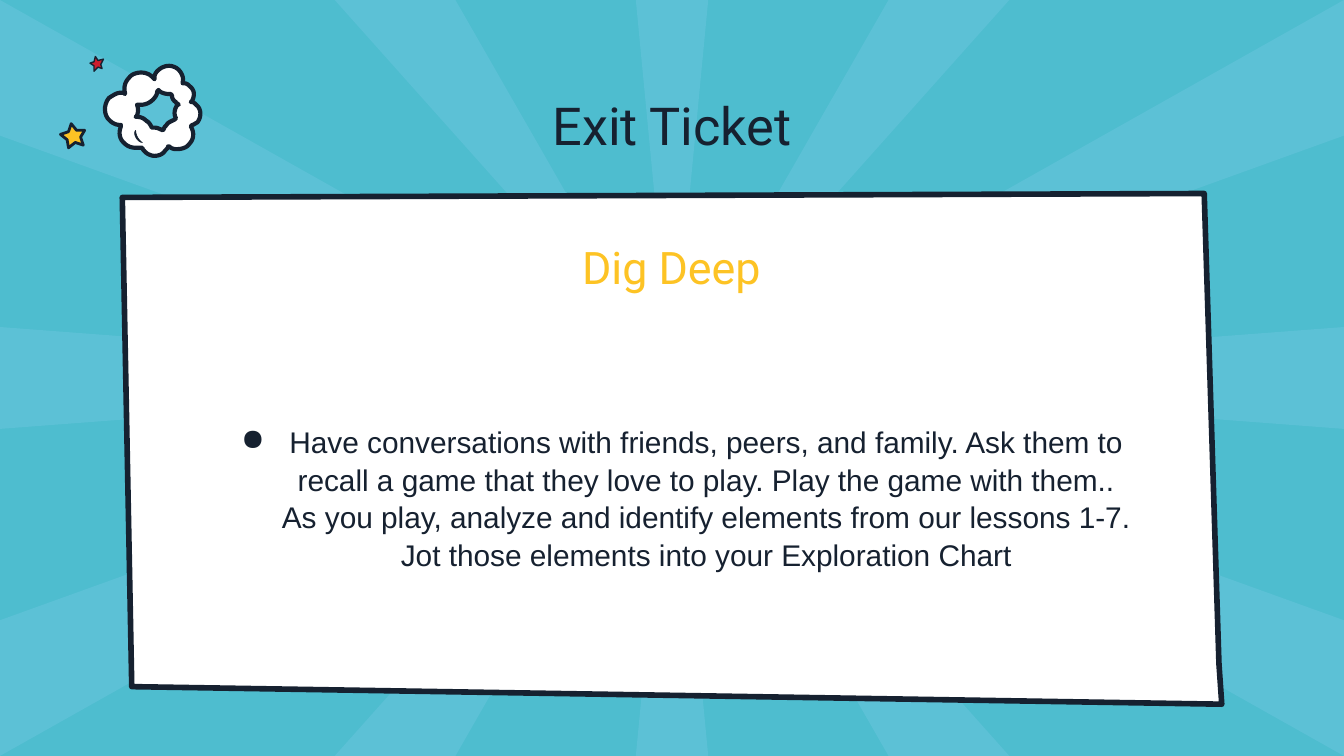
from lxml import etree
from pptx import Presentation
from pptx import util as u
from pptx.dml.color import RGBColor
from pptx.enum import text
from pptx.oxml.ns import qn

Pt = u.Pt
W, H = 720, 405
GRID = 0.72  # points per unit of the doodle outlines
COLORS = {"sky": "4EBDCF", "ray": "5CC1D6", "paper": "FFFFFF",
          "ink": "162130", "yellow": "FDC324", "red": "CC1D2D"}

# One side of each ray; the other end is mirrored through the centre
RAYS = [
    [(340.6, 0), (379.4, 0)],
    [(179.3, 0), (244, 0)],
    [(476, 0), (540.7, 0)],
    [(0, 0), (0, 72.7)],
    [(W, 0), (W, 72.7)],
    [(0, 175.2), (0, 229.8)],
]
PANEL = [(645.1, 103.7), (65.5, 105.8), (70.6, 367.9), (654.5, 377.3), (653, 355.7)]

# Doodles in grid units: pairs are corners, sextuples are cubic curves
YELLOW_STAR = [(45, 100), (51, 98), (53, 92), (57, 97), (63, 97),
               (60, 102), (62, 108), (56, 106), (51, 110), (50, 104)]
RED_STAR = [(67, 47), (70, 46), (71, 42), (73, 45), (77, 44),
            (75, 48), (76, 51), (73, 50), (70, 53), (70, 49)]
CLOUD_HOLE = [
    (118, 67), (117, 68), (117, 70, 116, 72, 114, 74), (112, 76, 109, 78, 105, 78),
    (102, 78), (103, 81, 103, 83, 102, 86), (101, 87), (102, 87),
    (105, 87, 107, 88, 109, 90), (111, 91, 112, 93, 113, 95), (115, 95),
    (117, 95, 119, 96, 121, 97), (122, 96), (122, 95, 123, 94, 124, 93),
    (125, 91, 128, 90, 130, 89), (131, 88), (129, 85, 130, 81, 132, 78),
    (133, 78), (132, 77), (132, 77, 131, 77, 131, 76), (129, 75, 128, 73, 128, 71),
    (127, 70), (126, 70), (123, 70, 120, 69, 119, 68),
]
CLOUD_EDGE = [
    (126, 49), (128, 49, 131, 50, 133, 52), (135, 54, 137, 58, 136, 61),
    (136, 62), (137, 62), (139, 62, 140, 63, 141, 64), (145, 67, 145, 71, 143, 75),
    (142, 76), (143, 76), (144, 76, 145, 77, 146, 78), (150, 81, 150, 87, 147, 91),
    (145, 92, 144, 93, 143, 93), (142, 94), (145, 99, 144, 104, 141, 107),
    (139, 110, 135, 111, 132, 111), (130, 111, 128, 111, 126, 109), (125, 109),
    (125, 110), (124, 111, 124, 111, 123, 112), (121, 115, 118, 116, 115, 116),
    (113, 116, 110, 115, 108, 113), (107, 112, 106, 111, 106, 110), (105, 110),
    (104, 110, 102, 110, 101, 110), (98, 110, 95, 109, 93, 107),
    (89, 104, 88, 99, 90, 94), (90, 93), (89, 93), (87, 93, 84, 92, 82, 90),
    (77, 86, 77, 78, 81, 73), (84, 71, 87, 69, 90, 69), (91, 69, 92, 69, 92, 69),
    (93, 70), (93, 69), (92, 65, 93, 61, 96, 58), (98, 55, 102, 54, 105, 54),
    (108, 54, 111, 55, 113, 57), (115, 59), (115, 57), (115, 56, 116, 54, 117, 53),
    (120, 50, 123, 49, 126, 49),
]
CREASE = [(101, 97), (100, 98, 100, 100, 101, 102), (102, 104, 104, 106, 106, 106),
          (104, 105, 101, 101, 101, 97)]


def rgb(name):
    return RGBColor.from_string(COLORS[name])


def flatten(outline, steps=8):
    """Turn corners and cubic curves in grid units into points."""
    pts = []
    for seg in outline:
        if len(seg) == 2:
            pts.append(seg)
            continue
        ctrl = [pts[-1], seg[:2], seg[2:4], seg[4:]]
        for i in range(1, steps + 1):
            t = i / steps
            weights = ((1 - t) ** 3, 3 * t * (1 - t) ** 2, 3 * t * t * (1 - t), t ** 3)
            pts.append(tuple(sum(k * c[axis] for k, c in zip(weights, ctrl))
                             for axis in (0, 1)))
    return [(x * GRID, y * GRID) for x, y in pts]


def add_outline(s, contours, fill, line_width=None):
    scaled = [[(Pt(x), Pt(y)) for x, y in c] for c in contours]
    builder = s.shapes.build_freeform(*scaled[0][0])
    for i, contour in enumerate(scaled):
        if i:
            builder.move_to(*contour[0])
        builder.add_line_segments(contour[1:], close=True)
    sp = builder.convert_to_shape()
    sp.shadow.inherit = False
    sp.fill.solid()
    sp.fill.fore_color.rgb = rgb(fill)
    if line_width:
        sp.line.color.rgb = rgb("ink")
        sp.line.width = Pt(line_width)
    else:
        sp.line.fill.background()
    return sp


def set_text(sp, box, content, font="Roboto", size=16, color="ink",
             anchor=text.MSO_ANCHOR.TOP, spacing=None):
    sp.left, sp.top, sp.width, sp.height = map(Pt, box)
    tf = sp.text_frame
    tf.word_wrap = True
    tf.auto_size = text.MSO_AUTO_SIZE.NONE
    tf.vertical_anchor = anchor
    tf.margin_left = tf.margin_top = tf.margin_right = tf.margin_bottom = Pt(7.2)
    p = tf.paragraphs[0]
    p.alignment = text.PP_ALIGN.CENTER
    if spacing:
        p.line_spacing = spacing
    r = p.add_run()
    r.text = content
    r.font.name, r.font.size = font, Pt(size)
    r.font.color.rgb = rgb(color)
    return p


def add_bullet(p, char, color, margin, indent):
    pPr = p._p.get_or_add_pPr()
    pPr.set("marL", str(Pt(margin)))
    pPr.set("indent", str(Pt(indent)))
    clr = etree.SubElement(pPr, qn("a:buClr"))
    etree.SubElement(clr, qn("a:srgbClr"), val=COLORS[color])
    etree.SubElement(pPr, qn("a:buChar"), char=char)


def add_text_box(s, box, content, **fmt):
    return set_text(s.shapes.add_textbox(0, 0, 0, 0), box, content, **fmt)


def main():
    prs = Presentation()
    prs.slide_width, prs.slide_height = Pt(W), Pt(H)
    s = prs.slides.add_slide(prs.slide_layouts[5])
    s.background.fill.solid()
    s.background.fill.fore_color.rgb = rgb("sky")

    # Sunburst
    for a, b in RAYS:
        mirrored = [(W - x, H - y) for x, y in (a, b)]
        for ends in ([a, b], mirrored):
            add_outline(s, [[(W / 2, H / 2), *ends]], "ray")

    # Paper panel
    add_outline(s, [PANEL], "paper", 3)

    # Title, raised above the sunburst
    title = s.shapes.title
    set_text(title, (99.4, 42.5, 521.3, 78.5), "Exit Ticket", size=28)
    title.element.getparent().append(title.element)

    # Task
    p = add_text_box(
        s, (106.6, 178.6, 507.6, 175.7),
        "Have conversations with friends, peers, and family. Ask them to recall a game "
        "that they love to play. Play the game with them.. As you play, analyze and "
        "identify elements from our lessons 1-7. Jot those elements into your "
        "Exploration Chart",
        font="Arial", anchor=text.MSO_ANCHOR.MIDDLE, spacing=1.05)
    add_bullet(p, "●", "ink", 36, -25.9)
    add_text_box(s, (244.1, 121, 231.1, 30.2), "Dig Deep", size=24, color="yellow")

    # Stars and cloud
    add_outline(s, [flatten(YELLOW_STAR)], "yellow", 1.5)
    add_outline(s, [flatten(RED_STAR)], "red", 0.75)
    add_outline(s, [flatten(CLOUD_HOLE), flatten(CLOUD_EDGE)], "paper", 2.25)
    add_outline(s, [flatten(CREASE)], "ink", 0.31)

    prs.save("out.pptx")


if __name__ == "__main__":
    main()
